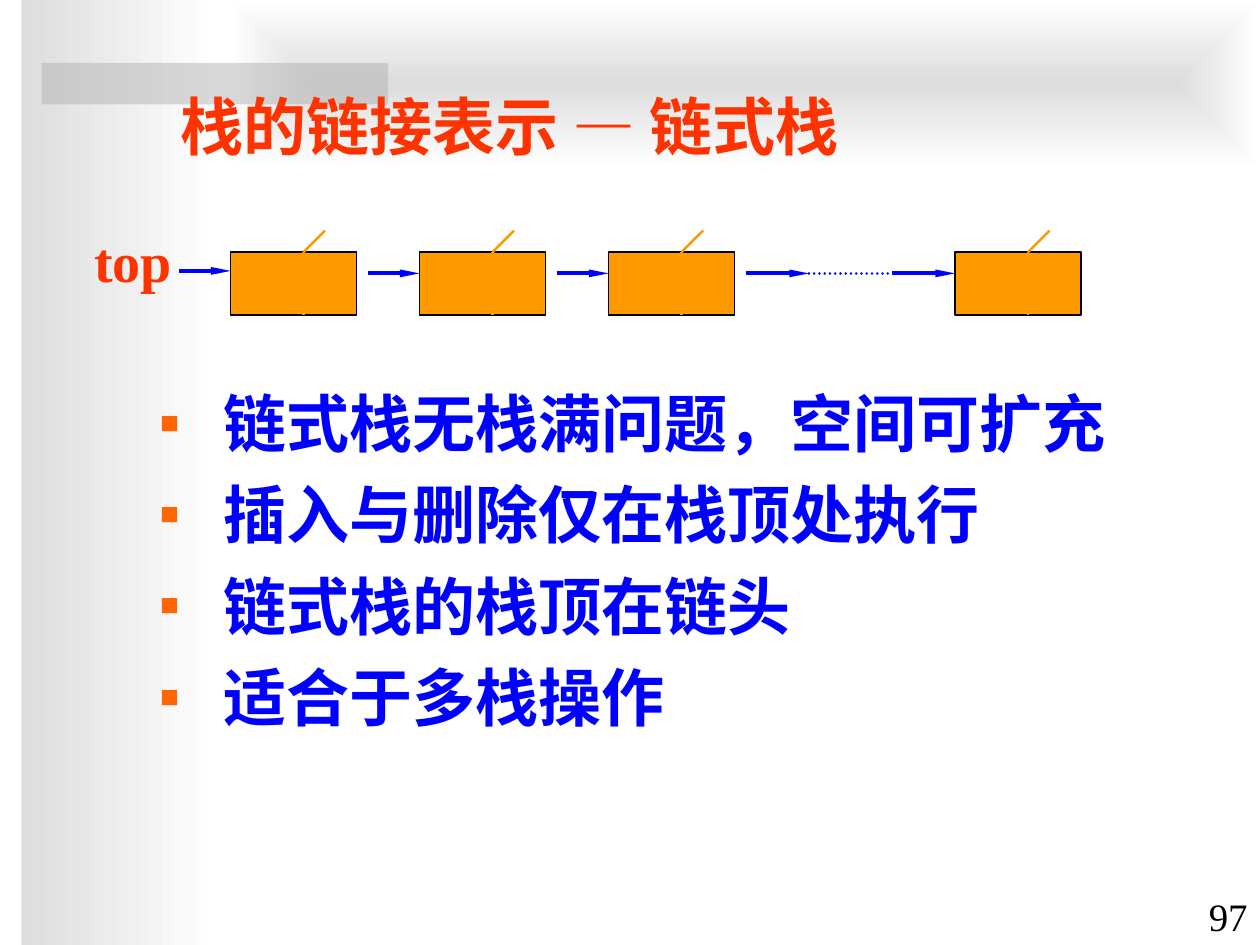
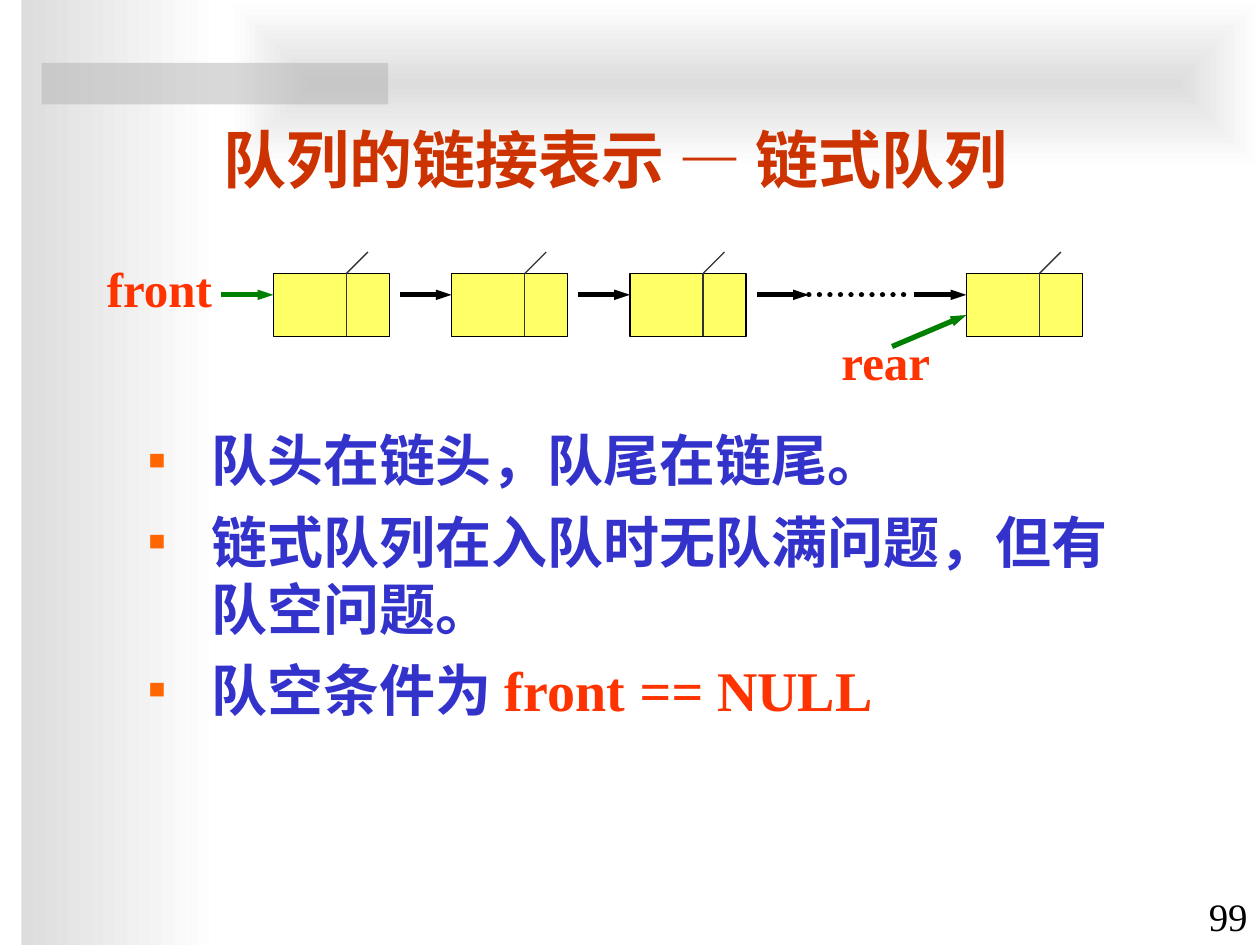
from lxml.etree import SubElement
from pptx import Presentation
from pptx.dml.color import RGBColor
from pptx.enum.dml import MSO_LINE
from pptx.enum.shapes import MSO_CONNECTOR, MSO_SHAPE
from pptx.enum.text import MSO_ANCHOR, MSO_AUTO_SIZE, PP_ALIGN
from pptx.oxml.ns import qn
from pptx.util import Inches, Pt

FONT = "Times New Roman"
BLACK = RGBColor(0x00, 0x00, 0x00)
WHITE = RGBColor(0xFF, 0xFF, 0xFF)
LIGHT_GRAY = RGBColor(0xDD, 0xDD, 0xDD)
MID_GRAY = RGBColor(0xB2, 0xB2, 0xB2)
DARK_GRAY = RGBColor(0x33, 0x33, 0x33)
RED = RGBColor(0xFF, 0x33, 0x00)
BRICK = RGBColor(0xCC, 0x33, 0x00)
BLUE = RGBColor(0x00, 0x00, 0xFF)
INDIGO = RGBColor(0x33, 0x33, 0xCC)
ORANGE = RGBColor(0xFF, 0x99, 0x00)
YELLOW = RGBColor(0xFF, 0xFF, 0x66)
GREEN = RGBColor(0x00, 0x80, 0x00)
BULLET = RGBColor(0xFF, 0x66, 0x00)

NODE_HEIGHT = 0.5
DIVIDER = 0.58
TICK = 0.17
LINK = 0.41


def set_attrs(obj, values):
    for name, value in values.items():
        setattr(obj, name, value)


def add_run(p, text, size, color, bold=True, italic=False):
    r = p.add_run()
    r.text = text
    r.font.color.rgb = color
    set_attrs(r.font, {"name": FONT, "size": Pt(size), "bold": bold, "italic": italic})


def place(sp, left, top, width, height):
    set_attrs(sp, {"left": Inches(left), "top": Inches(top),
                   "width": Inches(width), "height": Inches(height)})


def add_rect(s, left, top, width, height):
    sp = s.shapes.add_shape(MSO_SHAPE.RECTANGLE, Inches(left), Inches(top),
                            Inches(width), Inches(height))
    sp.shadow.inherit = False
    return sp


def add_gradient_band(s, box, from_center=False):
    sp = add_rect(s, *box)
    sp.fill.gradient()
    sp.fill.gradient_angle = 0
    for stop, color, position in zip(sp.fill.gradient_stops, (LIGHT_GRAY, WHITE), (0, 1)):
        stop.color.rgb = color
        stop.position = position
    if from_center:
        grad = sp._element.spPr.find(qn("a:gradFill"))
        grad.remove(grad.find(qn("a:lin")))
        center = SubElement(grad, qn("a:path"), {"path": "rect"})
        SubElement(center, qn("a:fillToRect"), dict.fromkeys("ltrb", "50000"))
    return sp


def add_translucent_band(s, box):
    sp = add_rect(s, *box)
    sp.fill.solid()
    sp.fill.fore_color.rgb = MID_GRAY
    color = sp._element.spPr.find(qn("a:solidFill"))[0]
    SubElement(color, qn("a:alpha"), {"val": "50000"})
    return sp


def decorate_master(prs, s):
    bands = [add_gradient_band(s, (0.17, 0, 1.58, 7.5)),
             add_gradient_band(s, (1.83, 0, 8.17, 1.33), from_center=True),
             add_translucent_band(s, (0.33, 0.5, 2.75, 0.33))]
    first = prs.slide_master.shapes[0]._element
    for number, sp in enumerate(bands, 101):
        sp.line.fill.background()
        sp._element.nvSpPr.cNvPr.set("id", str(number))
        first.addprevious(sp._element)


def add_title(s, text, color, box):
    sp = s.shapes.title
    place(sp, *box)
    tf = sp.text_frame
    set_attrs(tf, {"vertical_anchor": MSO_ANCHOR.MIDDLE, "auto_size": MSO_AUTO_SIZE.NONE})
    p = tf.paragraphs[0]
    p.alignment = PP_ALIGN.LEFT
    add_run(p, text, 36, color)


def set_bullet(p):
    pPr = p._p.get_or_add_pPr()
    pPr.set("marL", str(Inches(0.5)))
    pPr.set("indent", str(Inches(-0.5)))
    color = SubElement(pPr, qn("a:buClr"))
    SubElement(color, qn("a:srgbClr"), {"val": str(BULLET)})
    SubElement(pPr, qn("a:buSzPct"), {"val": "50000"})
    SubElement(pPr, qn("a:buChar"), {"char": "■"})


def add_bullets(s, items, size, color, box):
    sp = s.placeholders[1]
    place(sp, *box)
    tf = sp.text_frame
    tf.auto_size = MSO_AUTO_SIZE.NONE
    for i, text in enumerate(items):
        p = tf.add_paragraph() if i else tf.paragraphs[0]
        p.space_before = Pt(size / 4)
        set_bullet(p)
        add_run(p, text, size, color)
    return p


def add_label(s, text, size, box, color=RED, bold=True):
    sp = s.shapes.add_textbox(*map(Inches, box))
    tf = sp.text_frame
    tf.word_wrap = False
    add_run(tf.paragraphs[0], text, size, color, bold)
    return tf


def add_page_number(s, number):
    tf = add_label(s, number, 22.2, (9, 7.01, 1, 0.5), BLACK, bold=False)
    set_attrs(tf, {"vertical_anchor": MSO_ANCHOR.BOTTOM, "word_wrap": True})
    set_attrs(tf.paragraphs[0], {"alignment": PP_ALIGN.RIGHT, "line_spacing": 0.9})


def add_line(s, start, end, color, width):
    cx = s.shapes.add_connector(MSO_CONNECTOR.STRAIGHT, *map(Inches, (*start, *end)))
    cx.line.color.rgb = color
    cx.line.width = Pt(width)
    SubElement(cx._element.spPr, qn("a:effectLst"))
    return cx


def add_arrow(s, start, end, color, width, head="med"):
    cx = add_line(s, start, end, color, width)
    SubElement(cx.line._get_or_add_ln(), qn("a:tailEnd"),
               {"type": "triangle", "w": "sm", "len": head})


def add_dots(s, start, end, color, width):
    cx = add_line(s, start, end, color, width)
    cx.line.dash_style = MSO_LINE.ROUND_DOT
    cx.line._get_or_add_ln().set("cap", "rnd")


def add_node(s, left, top, width, fill, mark_color, mark_width):
    sp = add_rect(s, left, top, width, NODE_HEIGHT)
    sp.fill.solid()
    sp.fill.fore_color.rgb = fill
    sp.line.color.rgb = BLACK
    sp.line.width = Pt(0.75)
    x = left + DIVIDER
    for end in ((x, top + NODE_HEIGHT), (x + TICK, top - TICK)):
        add_line(s, (x, top), end, mark_color, mark_width)


def add_chain(s, lefts, top, width, node_style, link, dots, dots_width):
    for left in lefts:
        add_node(s, left, top, width, *node_style)
    y = top + TICK
    for left in lefts[1:3]:
        add_arrow(s, (left - LINK, y), (left, y), *link)
    dots_start, dots_end = dots
    add_arrow(s, (lefts[2] + width + 0.09, y), (dots_start, y), *link)
    add_arrow(s, (dots_end, y), (lefts[3], y), *link)
    add_dots(s, (dots_start, y), (dots_end, y), link[0], dots_width)


def build_stack(s):
    add_title(s, "栈的链接表示 — 链式栈", RED, (1.33, 0.58, 6.75, 0.83))
    add_bullets(s, ["链式栈无栈满问题，空间可扩充", "插入与删除仅在栈顶处执行",
                    "链式栈的栈顶在链头", "适合于多栈操作"],
                36, BLUE, (1.17, 3, 8.25, 2.92))
    add_page_number(s, "97")
    link = (BLUE, 2.25, "lg")
    add_label(s, "top", 32, (0.65, 1.75, 0.82, 0.64))
    add_arrow(s, (1.42, 2.15), (1.83, 2.15), *link)
    lefts = [1.83 + 1.5 * i for i in range(3)] + [7.58]
    add_chain(s, lefts, 2, 1, (ORANGE, ORANGE, 1.5), link, (6.42, 7.08), 1.5)


def build_queue(s):
    add_title(s, "队列的链接表示 — 链式队列", BRICK, (1.67, 0.92, 7.08, 0.67))
    p = add_bullets(s, ["队头在链头，队尾在链尾。",
                        "链式队列在入队时无队满问题，但有队空问题。", "队空条件为 "],
                    32, INDIGO, (1.08, 3.33, 8.17, 2.83))
    for text, italic in (("front ", False), ("==", True), (" NULL", False)):
        add_run(p, text, 32, RED, italic=italic)
    add_page_number(s, "99")
    lefts = [2.17 + 1.415 * i for i in range(3)] + [7.67]
    add_chain(s, lefts, 2.17, 0.92, (YELLOW, DARK_GRAY, 0.75), (BLACK, 3), (6.42, 7.25), 3)
    add_label(s, "front", 28, (0.75, 2, 1.04, 0.57))
    add_label(s, "rear", 28, (6.58, 2.58, 0.91, 0.57))
    add_arrow(s, (1.75, 2.34), (2.17, 2.34), GREEN, 3)
    add_arrow(s, (7.08, 2.75), (7.67, 2.5), GREEN, 3)


def main():
    prs = Presentation()
    set_attrs(prs, {"slide_width": Inches(10), "slide_height": Inches(7.5)})
    stack, queue = (prs.slides.add_slide(prs.slide_layouts[1]) for _ in range(2))
    decorate_master(prs, stack)
    build_stack(stack)
    build_queue(queue)
    prs.save("out.pptx")


if __name__ == "__main__":
    main()
